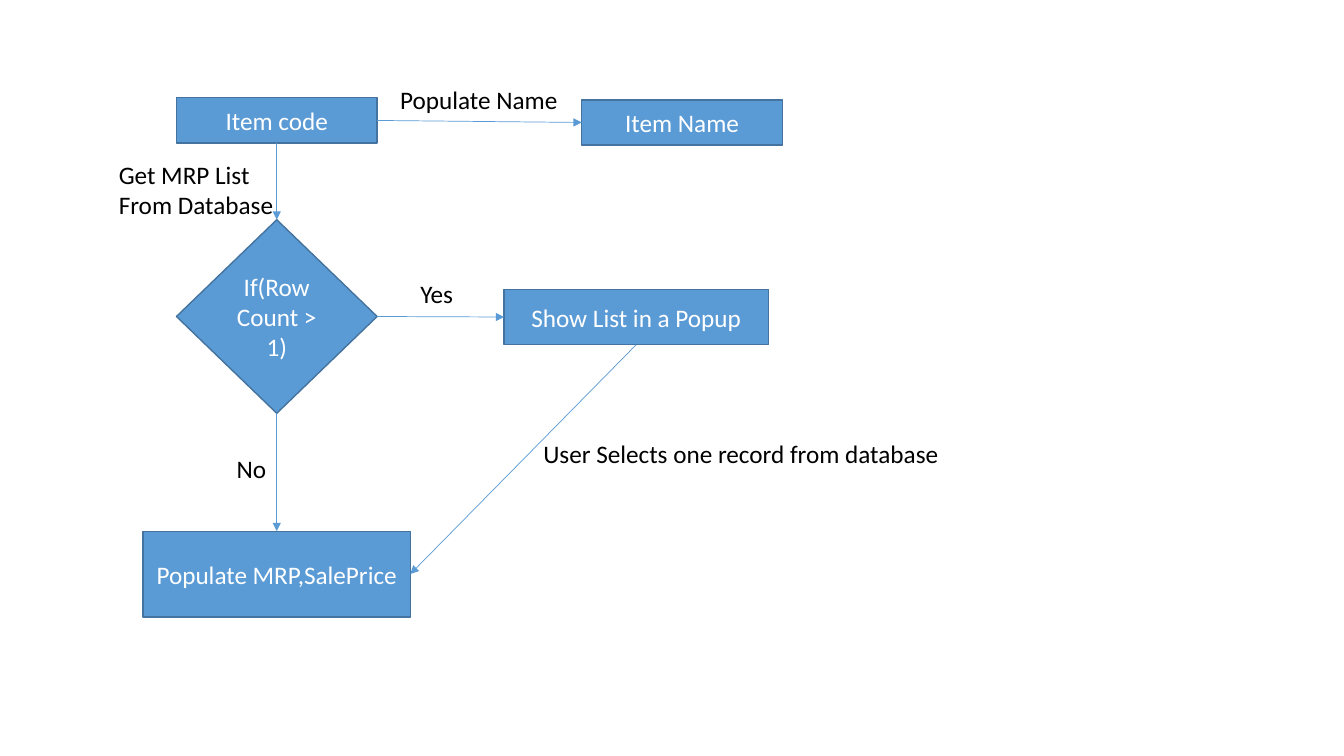
from lxml import etree
from pptx import Presentation
from pptx import util as u
from pptx.dml.color import RGBColor
from pptx.enum import shapes, text
from pptx.oxml import ns

TOP, LEFT, BOTTOM, RIGHT = range(4)


def color(value):
    return RGBColor.from_string(value)


class Flowchart:
    cell = u.Inches(0.25)
    font_name, font_size = "Calibri", u.Pt(18)
    fill, outline, arrow_line = "5B9BD5", "43739E", "5B9BD5"
    step_text, label_text = "FFFFFF", "000000"

    def __init__(self, slide):
        self.slide = slide

    def grid(self, *lengths):
        return [round(length * self.cell) for length in lengths]

    def set_text(self, shape, content, font_color, alignment):
        shape.text_frame.text = content
        for paragraph in shape.text_frame.paragraphs:
            paragraph.alignment = alignment
            paragraph.font.name = self.font_name
            paragraph.font.size = self.font_size
            paragraph.font.color.rgb = color(font_color)

    def step(self, content, column, row, columns, rows,
             kind=shapes.MSO_SHAPE.RECTANGLE):
        shape = self.slide.shapes.add_shape(
            kind, *self.grid(column, row, columns, rows))
        shape.shadow.inherit = False
        shape.fill.solid()
        shape.fill.fore_color.rgb = color(self.fill)
        shape.line.color.rgb = color(self.outline)
        shape.line.width = u.Pt(1)
        shape.text_frame.word_wrap = True
        shape.text_frame.vertical_anchor = text.MSO_ANCHOR.MIDDLE
        self.set_text(shape, content, self.step_text, text.PP_ALIGN.CENTER)
        return shape

    def label(self, content, column, row, columns, rows=1.6):
        box = self.slide.shapes.add_textbox(
            *self.grid(column, row, columns, rows))
        box.text_frame.word_wrap = False
        box.text_frame.auto_size = text.MSO_AUTO_SIZE.SHAPE_TO_FIT_TEXT
        self.set_text(box, content, self.label_text, text.PP_ALIGN.LEFT)

    def arrow(self, source, source_side, target, target_side):
        connector = self.slide.shapes.add_connector(
            shapes.MSO_CONNECTOR.STRAIGHT, 0, 0, 0, 0)
        connector.begin_connect(source, source_side)
        connector.end_connect(target, target_side)
        connector.line.color.rgb = color(self.arrow_line)
        connector.line.width = u.Pt(0.5)
        properties = connector._element.spPr
        line = properties.find(ns.qn("a:ln"))
        etree.SubElement(line, ns.qn("a:tailEnd"), type="triangle")
        etree.SubElement(properties, ns.qn("a:effectLst"))


presentation = Presentation()
presentation.slide_width = u.Inches(13.33)
presentation.slide_height = u.Inches(7.5)
blank_layout = presentation.slide_layouts[6]
chart = Flowchart(presentation.slides.add_slide(blank_layout))

item_code = chart.step("Item code", 7, 3.88, 7.96, 1.8)
item_name = chart.step("Item Name", 23.08, 3.96, 7.96, 1.8)
row_check = chart.step("If(Row Count > 1)", 7, 8.72, 7.96, 7.68,
                       shapes.MSO_SHAPE.DIAMOND)
populate_prices = chart.step("Populate MRP,SalePrice", 5.68, 21.08, 10.6, 3.4)
show_popup = chart.step("Show List in a Popup", 20, 11.48, 10.48, 2.2)

chart.arrow(item_code, RIGHT, item_name, LEFT)
chart.arrow(item_code, BOTTOM, row_check, TOP)
chart.arrow(row_check, BOTTOM, populate_prices, TOP)
chart.arrow(row_check, RIGHT, show_popup, LEFT)
chart.arrow(show_popup, BOTTOM, populate_prices, RIGHT)

chart.label("Populate Name", 15.48, 3.16, 7.12)
chart.label("Get MRP List\nFrom Database", 4.32, 6.12, 7, 2.84)
chart.label("No", 9, 17.8, 2)
chart.label("Yes", 16.28, 10.84, 2.12)
chart.label("User Selects one record from database", 21.16, 17.2, 16.68)

presentation.save("out.pptx")
